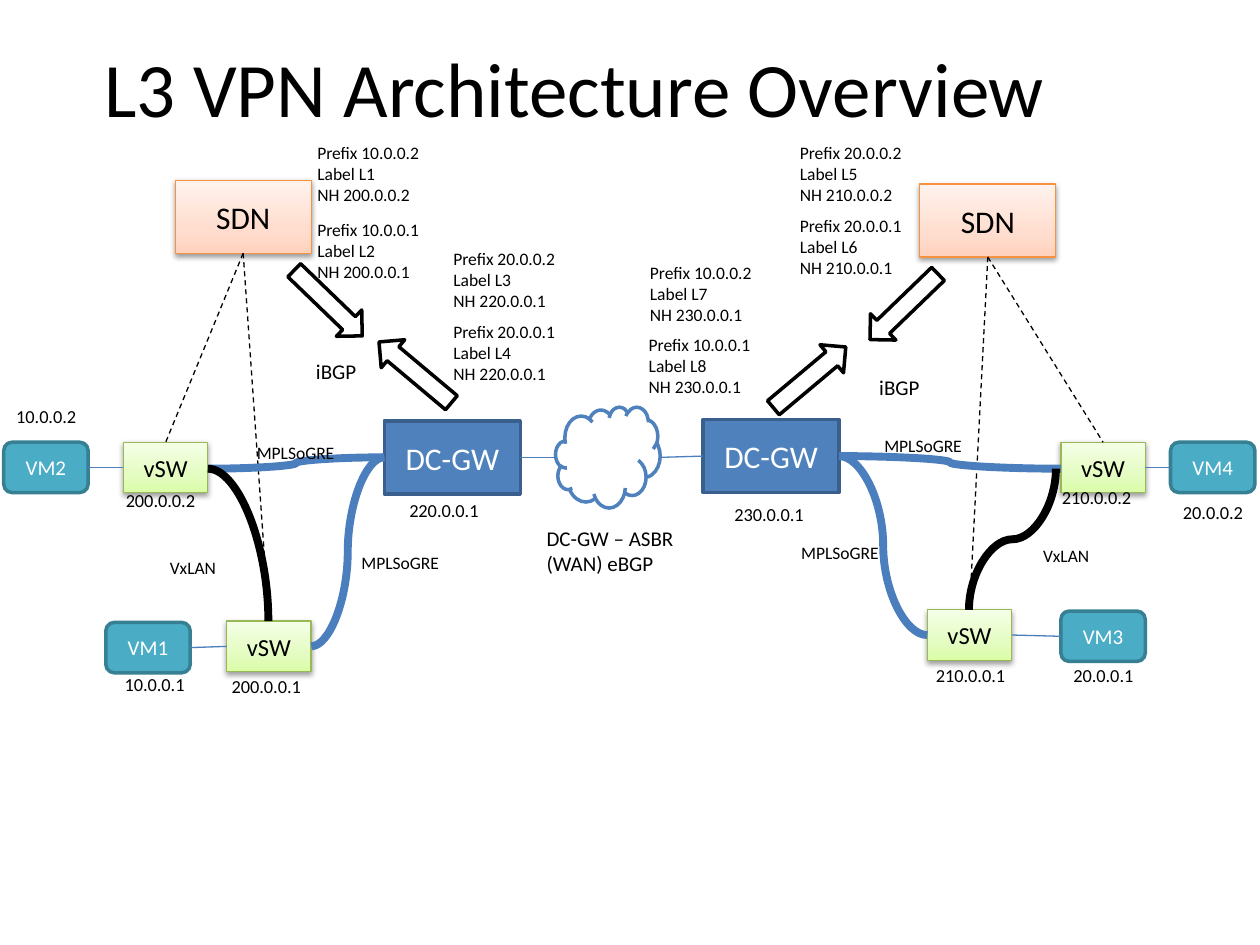
from copy import deepcopy

from lxml import etree
from pptx import Presentation
from pptx.dml.color import RGBColor
from pptx.enum.dml import MSO_LINE
from pptx.enum.shapes import MSO_CONNECTOR, MSO_SHAPE
from pptx.enum.text import MSO_ANCHOR, MSO_AUTO_SIZE, PP_ALIGN
from pptx.oxml.ns import qn
from pptx.util import Inches, Pt

RECTANGLE, ROUNDED = MSO_SHAPE.RECTANGLE, MSO_SHAPE.ROUNDED_RECTANGLE
DOWN_ARROW, CLOUD = MSO_SHAPE.DOWN_ARROW, MSO_SHAPE.CLOUD
STRAIGHT, CURVE = MSO_CONNECTOR.STRAIGHT, MSO_CONNECTOR.CURVE
DASH, MIDDLE = MSO_LINE.DASH, MSO_ANCHOR.MIDDLE
LEFT, CENTER = PP_ALIGN.LEFT, PP_ALIGN.CENTER
FIT_TEXT = MSO_AUTO_SIZE.SHAPE_TO_FIT_TEXT
TOP_SIDE, LEFT_SIDE, BOTTOM_SIDE, RIGHT_SIDE = range(4)
BLUE, BLACK, WHITE = "4B7EBC", "000000", "FFFFFF"
GATEWAY = dict(size=(1.08, 0.58), fill=["4F81BD"], line="3A5F8C", color=WHITE, points=18)
CONTROLLER = dict(size=(1.08, 0.58), fill=["FFD2BD", "FFDED0", "FFF2ED"], line="F69240", color=BLACK, points=18)
SWITCH = dict(size=(0.67, 0.4), fill=["DAFDA7", "E4FCC2", "F5FFE7"], line="98B955", color=BLACK, points=14)
MACHINE = dict(size=(0.67, 0.4), fill=["4BACC6"], line="377F92", color=WHITE, points=12, kind=ROUNDED)

LEFT_SITE = dict(
    controller=(1.39, 0.43), gateway=(3.05, 2.34), switches=[(0.98, 2.51), (1.8, 3.93)],
    machines=[("VM2", 0.03, 2.51), ("VM1", 0.84, 3.94)], machine_side=RIGHT_SIDE, switch_side=LEFT_SIDE,
    tunnels=[((1.65, 2.72), (3.05, 2.63)), ((2.47, 4.13), (3.05, 2.63))],
    overlay=((2.13, 3.93), (1.65, 2.72), 270, "curvedConnector2"),
    arrows=[(2.46, 1.03, 314), (3.15, 1.58, 130)],
    routes=[(2.42, 0.08, "10.0.0.2", "L1", "200.0.0.2"), (2.42, 0.69, "10.0.0.1", "L2", "200.0.0.1"),
            (3.5, 0.92, "20.0.0.2", "L3", "220.0.0.1"), (3.5, 1.5, "20.0.0.1", "L4", "220.0.0.1")],
    addresses=[(0.03, 2.17, "10.0.0.2"), (0.89, 4.29, "10.0.0.1"), (0.9, 2.83, "200.0.0.2"),
               (1.74, 4.31, "200.0.0.1"), (3.15, 2.91, "220.0.0.1")],
    link_labels=[(1.94, 2.46, "MPLSoGRE"), (2.77, 3.33, "MPLSoGRE"), (1.25, 3.37, "VxLAN")],
    session=(2.41, 1.8))
RIGHT_SITE = dict(
    controller=(2.3, 0.46), gateway=(0.58, 2.33), switches=[(3.42, 2.51), (2.36, 3.84)],
    machines=[("VM4", 4.29, 2.51), ("VM3", 3.42, 3.85)], machine_side=LEFT_SIDE, switch_side=RIGHT_SIDE,
    tunnels=[((1.66, 2.62), (3.42, 2.72)), ((1.66, 2.62), (2.36, 4.04))],
    overlay=((2.69, 3.84), (3.38, 2.72), 90, "curvedConnector3"),
    arrows=[(2.03, 1.06, 46), (1.28, 1.62, 230)],
    routes=[(1.25, 0.08, "20.0.0.2", "L5", "210.0.0.2"), (1.25, 0.66, "20.0.0.1", "L6", "210.0.0.1"),
            (0.06, 1.03, "10.0.0.2", "L7", "230.0.0.1"), (0.05, 1.6, "10.0.0.1", "L8", "230.0.0.1")],
    addresses=[(4.29, 2.93, "20.0.0.2"), (3.42, 4.22, "20.0.0.1"), (3.33, 2.81, "210.0.0.2"),
               (2.33, 4.22, "210.0.0.1"), (0.73, 2.94, "230.0.0.1")],
    link_labels=[(1.92, 2.4, "MPLSoGRE"), (1.26, 3.25, "MPLSoGRE"), (3.18, 3.28, "VxLAN")],
    session=(1.88, 1.92))


def rgb(value):
    """Turn a hex string into a colour."""
    return RGBColor.from_string(value)


def write(frame, lines, points, color=BLACK, align=LEFT):
    """Write one paragraph for each line."""
    for index, line in enumerate(lines):
        paragraph = frame.add_paragraph() if index else frame.paragraphs[0]
        paragraph.alignment = align
        run = paragraph.add_run()
        run.text = line
        run.font.name = "Calibri"
        run.font.size = Pt(points)
        run.font.color.rgb = rgb(color)


def add_label(slide, left, top, width, height, lines, points):
    """Add a label that grows with its text."""
    box = slide.shapes.add_textbox(Inches(left), Inches(top), Inches(width), Inches(height))
    box.text_frame.word_wrap = False
    box.text_frame.auto_size = FIT_TEXT
    write(box.text_frame, lines, points)


def add_outline(slide, kind, left, top, width, height, fill, line, weight=2):
    """Add a filled and outlined shape without a shadow."""
    shape = slide.shapes.add_shape(kind, Inches(left), Inches(top), Inches(width), Inches(height))
    shape.shadow.inherit = False
    shape.fill.solid()
    shape.fill.fore_color.rgb = rgb(fill)
    shape.line.color.rgb = rgb(line)
    shape.line.width = Pt(weight)
    return shape


def add_glow(shape, colors):
    """Give a shape a three-stop gradient and a soft shadow below."""
    shape.fill.gradient()
    shape.fill.gradient_angle = 90
    stops = shape._element.spPr.find(qn("a:gradFill")).find(qn("a:gsLst"))
    stops.insert(1, deepcopy(stops[0]))
    for stop, color, position in zip(shape.fill.gradient_stops, colors, (0, 0.35, 1)):
        stop.color.rgb = rgb(color)
        stop.position = position
    effects = shape._element.spPr.find(qn("a:effectLst"))
    shadow = etree.SubElement(effects, qn("a:outerShdw"), blurRad="40000", dist="20000",
                              dir="5400000", rotWithShape="0")
    color = etree.SubElement(shadow, qn("a:srgbClr"), val=BLACK)
    etree.SubElement(color, qn("a:alpha"), val="38000")


def add_node(slide, left, top, text, size, fill, line, color, points, kind=RECTANGLE):
    """Add a named network node."""
    glowing = len(fill) > 1
    shape = add_outline(slide, kind, left, top, *size, fill[0], line, 0.75 if glowing else 2)
    if glowing:
        add_glow(shape, fill)
    shape.text_frame.vertical_anchor = MIDDLE
    write(shape.text_frame, [text], points, color, CENTER)
    return shape


def add_line(slide, start, end, color=BLUE, weight=0.75, kind=STRAIGHT):
    """Add a connector between two points."""
    connector = slide.shapes.add_connector(kind, *(Inches(value) for value in (*start, *end)))
    connector.line.color.rgb = rgb(color)
    connector.line.width = Pt(weight)
    etree.SubElement(connector._element.spPr, qn("a:effectLst"))
    return connector


def join(slide, first, first_side, second, second_side, color=BLUE):
    """Join the sides of two nodes with a straight connector."""
    connector = add_line(slide, (0, 0), (1, 1), color)
    connector.begin_connect(first, first_side)
    connector.end_connect(second, second_side)
    return connector


def add_turned_curve(slide, start, end, rotation, preset):
    """Add a thick curve that leaves its start vertically."""
    center_x, center_y = (start[0] + end[0]) / 2, (start[1] + end[1]) / 2
    sign = 1 if rotation == 90 else -1
    across, down = sign * (start[1] - center_y), sign * (center_x - start[0])
    curve = add_line(slide, (center_x + across, center_y + down),
                     (center_x - across, center_y - down), BLACK, 4.5, CURVE)
    properties = curve._element.spPr
    properties.find(qn("a:xfrm")).set("rot", str(rotation * 60000))
    properties.find(qn("a:prstGeom")).set("prst", preset)


def add_site(slide, left, top, site):
    """Add one data centre and return its gateway."""
    def place(point):
        return left + point[0], top + point[1]

    gateway = add_node(slide, *place(site["gateway"]), "DC-GW", **GATEWAY)
    controller = add_node(slide, *place(site["controller"]), "SDN", **CONTROLLER)
    for position, (name, *corner) in zip(site["switches"], site["machines"]):
        switch = add_node(slide, *place(position), "vSW", **SWITCH)
        machine = add_node(slide, *place(corner), name, **MACHINE)
        join(slide, machine, site["machine_side"], switch, site["switch_side"])
        control = join(slide, controller, BOTTOM_SIDE, switch, TOP_SIDE, BLACK)
        control.line.dash_style = DASH
    for start, end in site["tunnels"]:
        add_line(slide, place(start), place(end), BLUE, 4.5, CURVE)
    start, end, rotation, preset = site["overlay"]
    add_turned_curve(slide, place(start), place(end), rotation, preset)
    for *corner, rotation in site["arrows"]:
        arrow = add_outline(slide, DOWN_ARROW, *place(corner), 0.29, 0.75, WHITE, BLACK)
        arrow.rotation = rotation
    for *corner, prefix, label, hop in site["routes"]:
        lines = [f"Prefix {prefix}", f"Label {label}", f"NH {hop}"]
        add_label(slide, *place(corner), 1.12, 0.61, lines, 10)
    for *corner, address in site["addresses"]:
        add_label(slide, *place(corner), 0.76 if len(address) > 8 else 0.69, 0.28, [address], 10.5)
    for *corner, text in site["link_labels"]:
        add_label(slide, *place(corner), 0.57 if text == "VxLAN" else 0.82, 0.27, [text], 10)
    add_label(slide, *place(site["session"]), 0.56, 0.3, ["iBGP"], 12)
    return gateway


def add_wan(slide, left, top, left_gateway, right_gateway):
    """Add the cloud between the two gateways."""
    width, middle = 0.83, top + 0.4
    add_outline(slide, CLOUD, left, top, width, 0.8, WHITE, "4F81BD")
    for x, gateway, side in ((left, left_gateway, RIGHT_SIDE), (left + width, right_gateway, LEFT_SIDE)):
        link = add_line(slide, (x, middle), (x, middle))
        link.end_connect(gateway, side)
    add_label(slide, left - 0.17, top + 0.89, 1.26, 0.5, ["DC-GW – ASBR", "(WAN) eBGP"], 12)


def add_title(slide, left, top, width, height):
    """Add the slide title."""
    box = slide.shapes.add_textbox(Inches(left), Inches(top), Inches(width), Inches(height))
    box.text_frame.word_wrap = True
    write(box.text_frame, ["L3 VPN Architecture Overview"], 44, BLACK, CENTER)


def main():
    """Build the slide and save it."""
    presentation = Presentation()
    presentation.slide_width, presentation.slide_height = Inches(10), Inches(7.5)
    slide = presentation.slides.add_slide(presentation.slide_layouts[6])
    add_title(slide, 0.06, 0.27, 9.01, 0.73)
    left_gateway = add_site(slide, 0, 1, LEFT_SITE)
    right_gateway = add_site(slide, 5, 1, RIGHT_SITE)
    add_wan(slide, 4.41, 3.23, left_gateway, right_gateway)
    presentation.save("out.pptx")


if __name__ == "__main__":
    main()
